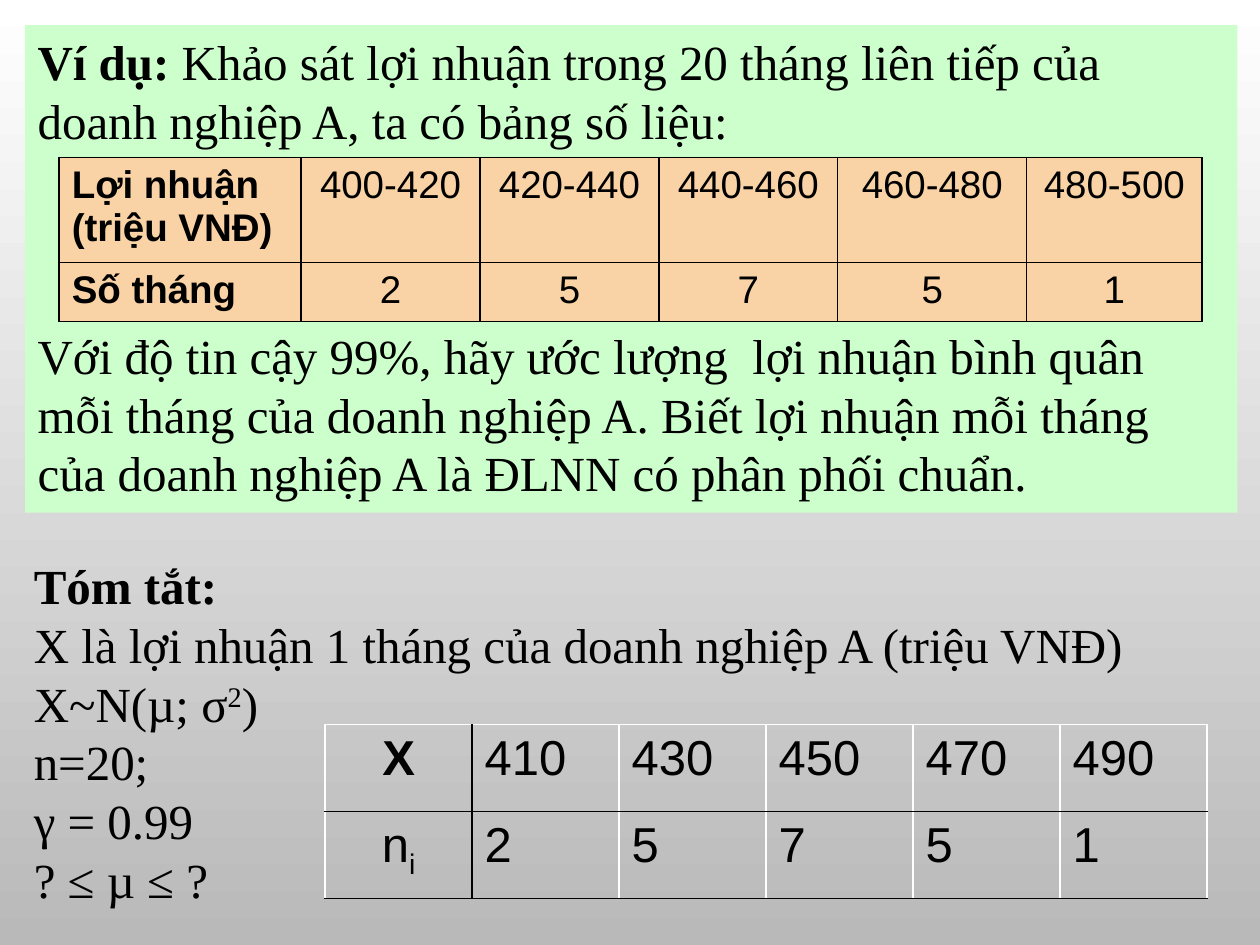
from lxml.etree import SubElement
from pptx import Presentation
from pptx.dml.color import RGBColor
from pptx.enum.shapes import MSO_SHAPE as Shape
from pptx.enum.text import MSO_ANCHOR as Anchor, PP_ALIGN as Align
from pptx.oxml.ns import qn
from pptx.util import Inches, Pt

BLACK = RGBColor(0, 0, 0)
WHITE = RGBColor(255, 255, 255)
GREY = RGBColor(0xB9, 0xB9, 0xB9)
GREEN = RGBColor(0xCC, 0xFF, 0xCC)
PEACH = RGBColor(0xF9, 0xD3, 0xA5)

SERIF = {"name": "Times New Roman", "size": Pt(28)}
LARGE = {"name": "Arial", "size": Pt(28)}
SMALL = {"name": "Arial", "size": Pt(22)}
LINE = 33.6  # line pitch of the serif text, in points


def add_run(para, text, form, bold=False, base=0):
    run = para.add_run()
    run.text = text
    for key, value in {**form, "bold": bold}.items():
        setattr(run.font, key, value)
    run.font.color.rgb = BLACK
    if base:
        run._r.get_or_add_rPr().set("baseline", str(base * 1000))


def write(frame, paras, form, align=Align.LEFT, pitch=None):
    """Each paragraph is a list of runs: (text, bold, baseline)."""
    for i, runs in enumerate(paras):
        para = frame.add_paragraph() if i else frame.paragraphs[0]
        para.alignment = align
        if pitch:
            para.line_spacing = Pt(pitch)
        for run in runs:
            add_run(para, run[0], form, *run[1:])


def set_frame(frame):
    for key, value in {"word_wrap": True, "vertical_anchor": Anchor.TOP}.items():
        setattr(frame, key, value)


def set_edge(cell, side, color):
    line = SubElement(cell._tc.get_or_add_tcPr(), qn(f"a:ln{side}"), w=str(Pt(1)))
    fill = SubElement(line, qn("a:solidFill"))
    SubElement(fill, qn("a:srgbClr"), val=str(color))


def add_grid(slide, left, top, cols, rows, cells, form, look):
    """look(row, col) gives alignment, fill and the L, R, T, B edge colours."""
    size = [Inches(n) for n in (left, top, sum(cols), sum(rows))]
    table = slide.shapes.add_table(len(rows), len(cols), *size).table
    for col, width in zip(table.columns, cols):
        col.width = Inches(width)
    for row, height in zip(table.rows, rows):
        row.height = Inches(height)
    for r, line in enumerate(cells):
        for c, paras in enumerate(line):
            cell = table.cell(r, c)
            align, fill, edges = look(r, c)
            write(cell.text_frame, paras, form, align)
            for side, color in zip("LRTB", edges):
                set_edge(cell, side, color)
            if fill:
                cell.fill.solid()
                cell.fill.fore_color.rgb = fill
            else:
                cell.fill.background()


def plain(*words):
    return [[[(word,)]] for word in words]


def profit_look(r, c):
    return (Align.CENTER if c else Align.LEFT), PEACH, [BLACK] * 4


def sample_look(r, c):
    dark = (c == 1, c == 0, r == 1, True)
    edges = [BLACK if on else WHITE for on in dark]
    return (Align.LEFT if c else Align.CENTER), None, edges


def add_summary(slide):
    size = [Inches(n) for n in (0.17, 4.36, 9.83, 2.93)]
    frame = slide.shapes.add_textbox(*size).text_frame
    set_frame(frame)
    write(frame, [
        [("Tóm tắt:", True)],
        [("X là lợi nhuận 1 tháng của doanh nghiệp A (triệu VNĐ)",)],
        [("X~N(µ; σ",), ("2", False, 30), (")",)],
        [("n=20;",)],
        [("γ = 0.99",)],
        [("? ≤ µ ≤ ?",)],
    ], SERIF, pitch=LINE)


def add_problem(slide):
    size = [Inches(n) for n in (0.2, 0.2, 9.62, 3.87)]
    box = slide.shapes.add_shape(Shape.RECTANGLE, *size)
    box.shadow.inherit = False
    box.fill.solid()
    box.fill.fore_color.rgb = GREEN
    box.line.fill.background()
    set_frame(box.text_frame)
    write(box.text_frame, [
        [("Ví dụ: ", True),
         ("Khảo sát lợi nhuận trong 20 tháng liên tiếp của "
          "doanh nghiệp A, ta có bảng số liệu:",)],
        [("Với độ tin cậy 99%, hãy ước lượng  lợi nhuận bình quân "
          "mỗi tháng của doanh nghiệp A. Biết lợi nhuận mỗi tháng "
          "của doanh nghiệp A là ĐLNN có phân phối chuẩn.",)],
    ], SERIF, pitch=LINE)
    # Room for the table: three lines
    box.text_frame.paragraphs[1].space_before = Pt(3 * LINE)


def main():
    deck = Presentation()
    deck.slide_width, deck.slide_height = Inches(10), Inches(7.5)
    slide = deck.slides.add_slide(deck.slide_layouts[6])

    # Background, white at the top
    back = slide.background.fill
    back.gradient()
    back.gradient_angle = 270
    for stop, color, place in zip(back.gradient_stops, (WHITE, GREY), (0, 1)):
        stop.color.rgb = color
        stop.position = place

    counts = plain("2", "5", "7", "5", "1")

    # Summary with the midpoint table
    add_summary(slide)
    add_grid(slide, 2.58, 5.75, [7 / 6] * 6, [0.69] * 2, [
        [[[("X", True)]], *plain("410", "430", "450", "470", "490")],
        [[[("n",), ("i", False, -25)]], *counts],
    ], LARGE, sample_look)

    # Problem with the profit table
    add_problem(slide)
    spans = plain(*(f"{low}-{low + 20}" for low in range(400, 500, 20)))
    add_grid(slide, 0.47, 1.25, [1.92, 1.42, 1.42, 1.42, 1.5, 1.39], [0.83, 0.47], [
        [[[("Lợi nhuận", True)], [("(triệu VNĐ)", True)]], *spans],
        [[[("Số tháng", True)]], *counts],
    ], SMALL, profit_look)

    deck.save("out.pptx")


if __name__ == "__main__":
    main()
